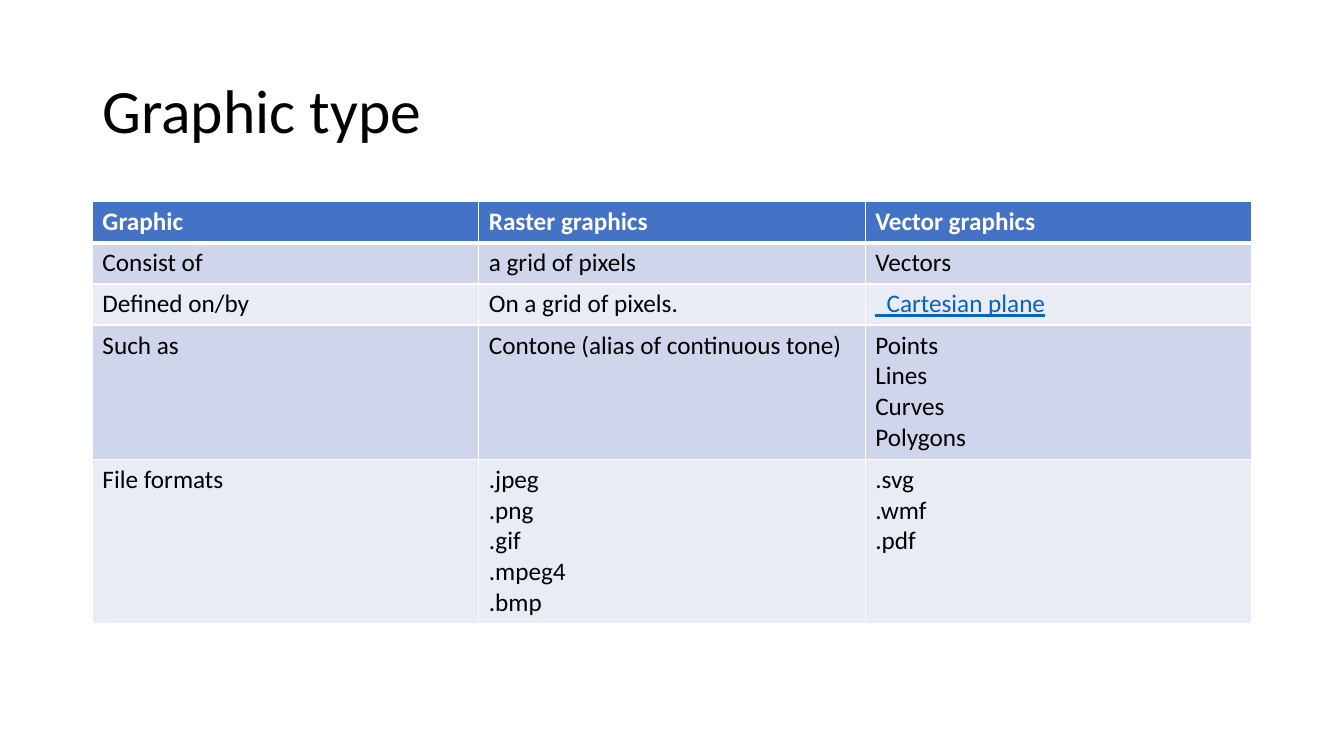
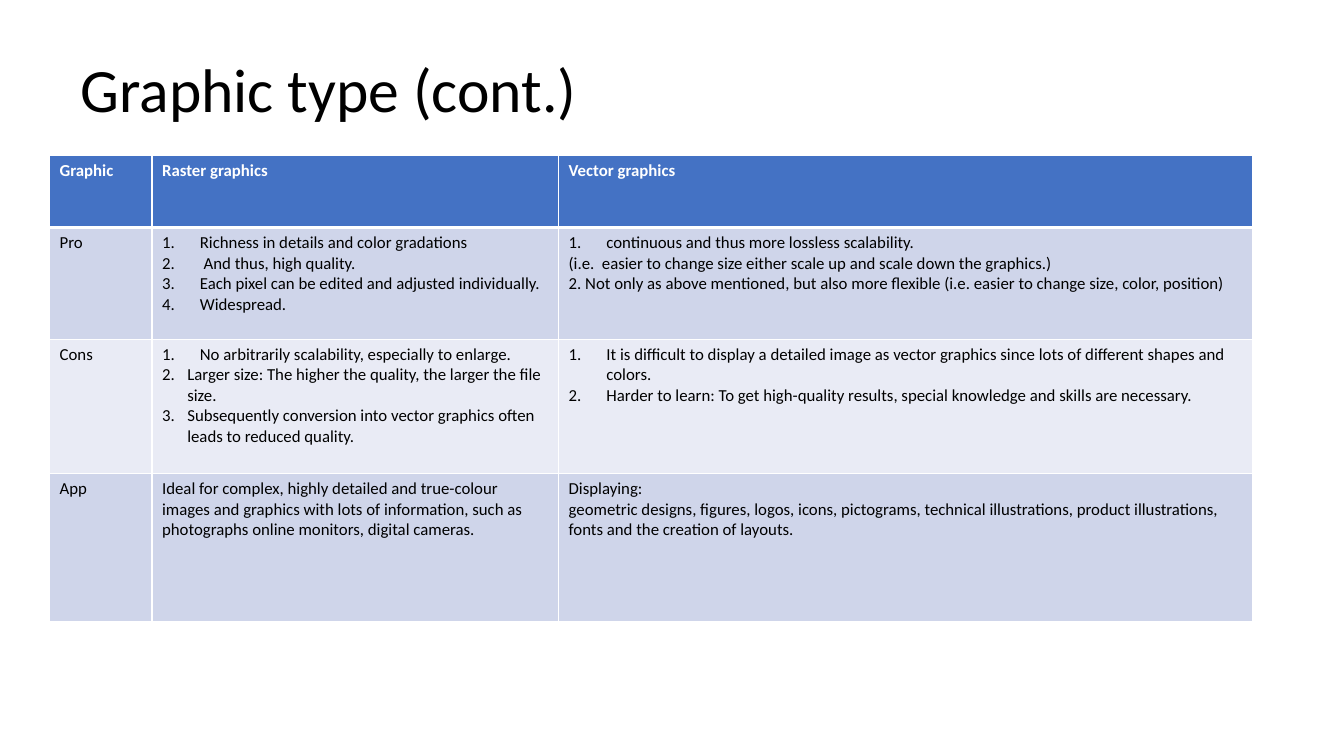
from lxml import etree
from pptx import Presentation
from pptx.dml.color import RGBColor
from pptx.enum.text import MSO_ANCHOR
from pptx.oxml.ns import qn
from pptx.util import Inches, Pt

MIDDLE = MSO_ANCHOR.MIDDLE
BLACK = RGBColor(0x00, 0x00, 0x00)
WHITE = RGBColor(0xFF, 0xFF, 0xFF)
HEADER = RGBColor(0x44, 0x72, 0xC4)
BANDS = RGBColor(0xCF, 0xD5, 0xEA), RGBColor(0xE9, 0xEB, 0xF5)
LINK = RGBColor(0x05, 0x63, 0xC1)
FONT = "Calibri"
COLS, ROWS = 16, 9
WIDE, NARROW = 0.45, 0.3


def write(p, text, size=18, color=BLACK, bold=False, underline=False, spacing=None, hang=None):
    r = p.add_run()
    r.text = text
    f = r.font
    f.name, f.size, f.bold, f.underline = FONT, Pt(size), bold, underline
    f.color.rgb = color
    if spacing:
        p.line_spacing = spacing
    if hang:
        pPr = p._p.get_or_add_pPr()
        pPr.set("marL", str(hang))
        pPr.set("indent", str(-hang))
        etree.SubElement(pPr, qn("a:buAutoNum"), type="arabicPeriod")


def border(cell, side, width):
    ln = etree.SubElement(cell._tc.get_or_add_tcPr(), qn("a:ln" + side), w=str(Pt(width)))
    fill = etree.SubElement(ln, qn("a:solidFill"))
    etree.SubElement(fill, qn("a:srgbClr"), val=str(WHITE))


def numbered(text, hang=WIDE):
    return text, {"hang": hang}


class Deck:
    def __init__(self):
        self.prs = Presentation()
        self.prs.slide_width, self.prs.slide_height = Inches(13.33), Inches(7.5)
        self.s = None

    def x(self, cols):
        return int(self.prs.slide_width * cols / COLS)

    def y(self, rows):
        return int(self.prs.slide_height * rows / ROWS)

    def slide(self):
        self.s = self.prs.slides.add_slide(self.prs.slide_layouts[6])

    def title(self, text, left, top, width, height):
        tb = self.s.shapes.add_textbox(self.x(left), self.y(top), self.x(width), self.y(height))
        tf = tb.text_frame
        tf.word_wrap = True
        tf.vertical_anchor = MIDDLE
        write(tf.paragraphs[0], text, size=44, spacing=0.9)

    def table(self, left, top, widths, heights, rows, size):
        frame = self.s.shapes.add_table(len(heights), len(widths), self.x(left), self.y(top),
                                        self.x(sum(widths)), self.y(sum(heights)))
        tbl = frame.table
        for column, width in zip(tbl.columns, widths):
            column.width = self.x(width)
        for i, (height, row) in enumerate(zip(heights, rows)):
            tbl.rows[i].height = self.y(height)
            for j, content in enumerate(row):
                self.cell(tbl.cell(i, j), i, content, size)

    def cell(self, cell, row, content, size):
        header = row == 0
        for side in "LRTB":
            under_header = (row, side) in ((0, "B"), (1, "T"))
            border(cell, side, 3 if under_header else 1)
        cell.fill.solid()
        cell.fill.fore_color.rgb = HEADER if header else BANDS[(row - 1) % 2]
        tf = cell.text_frame
        for k, item in enumerate(content if isinstance(content, list) else [content]):
            text, style = item if isinstance(item, tuple) else (item, {})
            style = {"size": size, "color": WHITE if header else BLACK, "bold": header, **style}
            if "hang" in style:
                style["hang"] = self.x(style["hang"])
            write(tf.add_paragraph() if k else tf.paragraphs[0], text, **style)


TYPES = [
    ["Graphic", "Raster graphics", "Vector graphics"],
    ["Consist of", "a grid of pixels", "Vectors"],
    ["Defined on/by", "On a grid of pixels.",
     ("  Cartesian plane", {"color": LINK, "underline": True})],
    ["Such as", "Contone (alias of continuous tone)", ["Points", "Lines", "Curves", "Polygons"]],
    ["File formats", [".jpeg", ".png", ".gif", ".mpeg4", ".bmp"], [".svg", ".wmf", ".pdf"]],
]

COMPARISON = [
    TYPES[0],
    ["Pro",
     [numbered("Richness in details and color gradations"),
      numbered(" And thus, high quality."),
      numbered("Each pixel can be edited and adjusted individually."),
      numbered("Widespread.")],
     [numbered("continuous and thus more lossless scalability."),
      "(i.e.  easier to change size either scale up and scale down the graphics.)",
      "2. Not only as above mentioned, but also more flexible "
      "(i.e. easier to change size, color, position)"]],
    ["Cons",
     [numbered("No arbitrarily scalability, especially to enlarge."),
      numbered("Larger size: The higher the quality, the larger the file size.", NARROW),
      numbered("Subsequently conversion into vector graphics often leads to reduced quality.",
               NARROW)],
     [numbered("It is difficult to display a detailed image as vector graphics since lots of "
               "different shapes and colors."),
      numbered("Harder to learn: To get high-quality results, special knowledge and skills "
               "are necessary.")]],
    ["App",
     "Ideal for complex, highly detailed and true-colour images and graphics with lots of "
     "information, such as photographs online monitors, digital cameras.",
     ["Displaying:",
      "geometric designs, figures, logos, icons, pictograms, technical illustrations, "
      "product illustrations, fonts and the creation of layouts."]],
]


def main():
    deck = Deck()
    deck.slide()
    deck.title("Graphic type", 1.1, 0.48, 13.8, 1.74)
    deck.table(1.1, 2.4, [4.6] * 3, [0.49] * 3 + [1.6, 1.95], TYPES, 18)
    deck.slide()
    deck.title("Graphic type (cont.)", 0.84, 0.5, 13.8, 1.2)
    deck.table(0.59, 1.85, [1.22, 4.84, 8.26], [0.86, 1.33, 1.6, 1.76], COMPARISON, 12)
    deck.prs.save("out.pptx")


if __name__ == "__main__":
    main()
